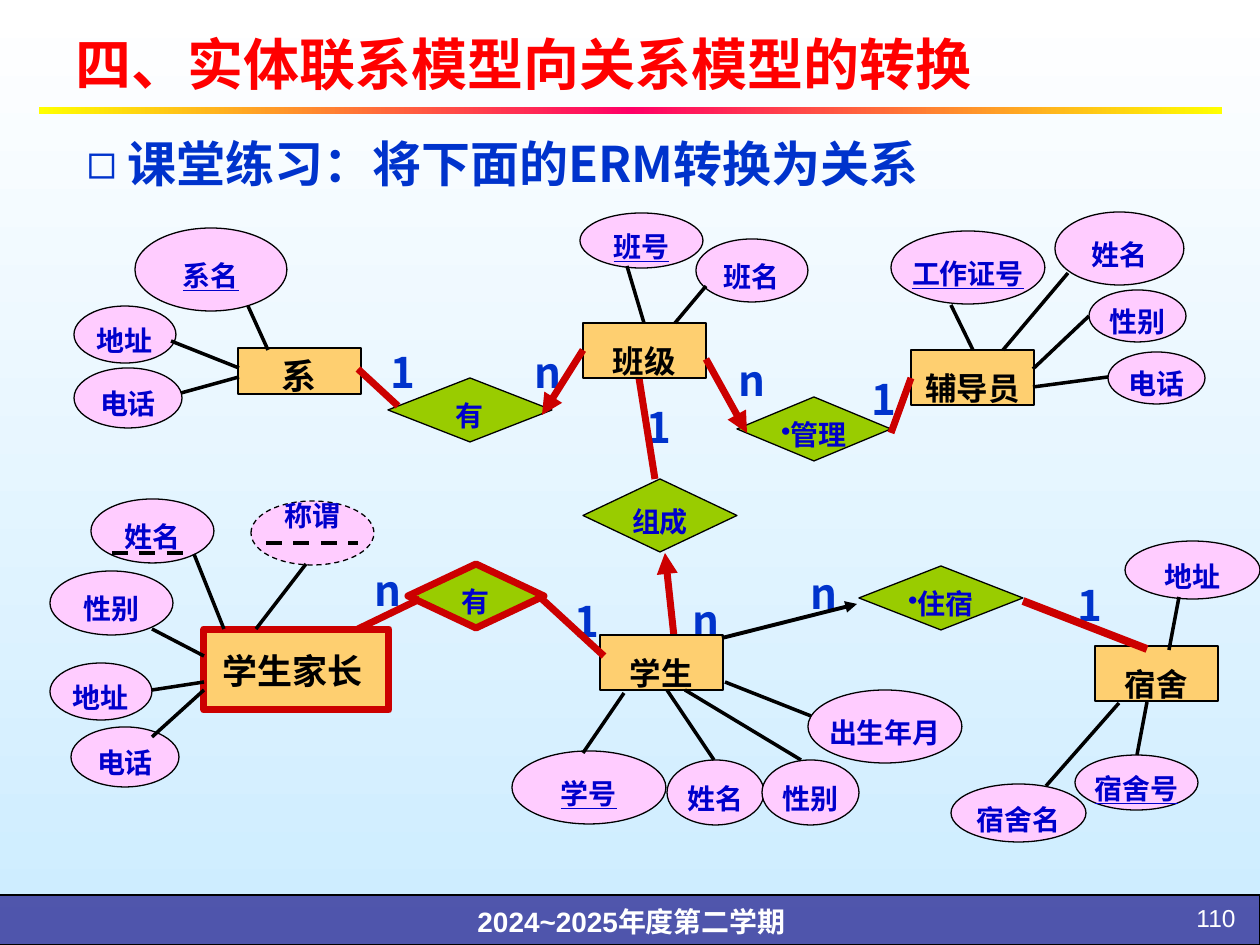
from copy import deepcopy

from lxml import etree
from pptx import Presentation
from pptx.dml.color import RGBColor
from pptx.enum.dml import MSO_LINE
from pptx.enum.shapes import MSO_CONNECTOR, MSO_SHAPE
from pptx.enum.text import MSO_ANCHOR, PP_ALIGN
from pptx.oxml.ns import qn
from pptx.util import Pt

PX = 914400 / 126
RECT, OVAL, DIAMOND = MSO_SHAPE.RECTANGLE, MSO_SHAPE.OVAL, MSO_SHAPE.DIAMOND
STRAIGHT, DASH = MSO_CONNECTOR.STRAIGHT, MSO_LINE.DASH
TOP, MIDDLE = MSO_ANCHOR.TOP, MSO_ANCHOR.MIDDLE
LEFT, CENTER, RIGHT = PP_ALIGN.LEFT, PP_ALIGN.CENTER, PP_ALIGN.RIGHT
CJK = "Noto Sans CJK SC"
COLORS = {
    "white": "FFFFFF", "sky": "CCECFF", "black": "000000", "red": "CC0000",
    "title": "FF0000", "body": "0033CC", "label": "0000CC", "entity": "FECF70",
    "attribute": "FFCCFF", "relation": "99CC00", "footer": "333399",
    "yellow": "FFFF00", "pink": "FF0066",
}

# Each entity: name, box, font size, line spacing, outline (colour, points), and
# attributes (name, offset box, line start, line end, style) relative to the box.
ENTITIES = [
    ("系", (238, 348, 123, 46), 20, 1, ("black", 0.75), [
        ("电话", (-164, 20, 108, 60), (1, 29), (-57, 45), ""),
        ("系名", (-103, -120, 152, 83), (10, -42), (30, 2), "key"),
        ("地址", (-164, -42, 102, 57), (1, 20), (-67, -7), "")]),
    ("辅导员", (911, 350, 123, 55), 18, 1.35, ("black", 0.75), [
        ("性别", (178, -60, 97, 52), (178, -34), (122, 19), ""),
        ("工作证号", (-20, -119, 154, 73), (40, -45), (62, 0), "key"),
        ("姓名", (144, -138, 129, 73), (157, -77), (92, 0), ""),
        ("电话", (197, 2, 97, 52), (197, 27), (122, 37), "")]),
    ("班级", (583, 323, 123, 55), 18, 1.35, ("black", 0.75), [
        ("班名", (113, -84, 112, 63), (92, 0), (123, -37), ""),
        ("班号", (-3, -110, 123, 55), (61, 0), (44, -57), "key")]),
    ("学生", (600, 635, 123, 55), 18, 1.35, ("black", 0.75), [
        ("出生年月", (208, 55, 154, 73), (125, 47), (211, 81), ""),
        ("学号", (-88, 116, 154, 73), (24, 58), (-17, 118), "key"),
        ("姓名", (67, 125, 97, 65), (67, 55), (114, 125), ""),
        ("性别", (162, 125, 97, 65), (85, 55), (201, 125), "")]),
    ("宿舍", (1095, 646, 123, 55), 18, 1.35, ("black", 0.75), [
        ("宿舍号", (-20, 109, 123, 55), (42, 109), (52, 56), "key"),
        ("宿舍名", (-144, 138, 135, 58), (-49, 140), (24, 57), ""),
        ("地址", (30, -105, 135, 58), (74, 4), (84, -49), "")]),
]
PARENT = ("学生家长 ", (204, 629, 185, 81), 20, 1.35, ("red", 4), [
    ("电话", (-133, 98, 108, 60), (0, 61), (-52, 108), ""),
    ("姓名", (-113, -130, 123, 64), (-10, -75), (20, 0), ""),
    ("地址", (-154, 34, 102, 57), (-52, 61), (0, 53), ""),
    ("性别", (-154, -58, 123, 64), (0, 27), (-52, 0), ""),
    ("称谓", (47, -128, 123, 64), (102, -65), (52, 0), "derived")])
PARTIAL_KEYS = [((62, -86), (154, -86)), ((-92, -76), (-20, -76))]

# Each relation: name, box, bullet, outline, cardinalities (text, offset) and
# links (start, end, colour, points, arrow) relative to the box.
COMPOSITION = ("组成", (583, 479, 154, 73), None, ("black", 0.75),
               [("1", (51, -101)), ("n", (97, 92))],
               [((72, 0), (56, -101), "red", 4, False),
                ((92, 167), (82, 74), "red", 4, True)])
RELATIONS = [
    ("有", (388, 378, 164, 64), None, ("black", 0.75),
     [("1", (-10, -55)), ("n", (134, -55))],
     [((-30, -9), (10, 28), "red", 4, False),
      ((195, -28), (154, 37), "red", 4, True)]),
    ("管理", (737, 397, 154, 64), "•", ("black", 0.75),
     [("1", (122, -47)), ("n", (-11, -66))],
     [((174, -19), (154, 36), "red", 4, False),
      ((-31, -38), (10, 36), "red", 4, True)]),
    ("住宿", (859, 566, 164, 64), "•", ("black", 0.75),
     [("n", (-61, -22)), ("1", (206, -10))],
     [((-137, 72), (-2, 38), "black", 2.25, True),
      ((164, 35), (288, 83), "red", 4.5, False)]),
    ("有", (408, 564, 136, 64), None, ("red", 4),
     [("n", (-46, -23)), ("1", (154, 8))],
     [((134, 35), (196, 92), "red", 4, False),
      ((12, 35), (-50, 65), "red", 4, False)]),
]


def rgb(name):
    return RGBColor.from_string(COLORS[name])


def emu(lengths):
    return [round(length * PX) for length in lengths]


def shift(box, offset):
    return (box[0] + offset[0], box[1] + offset[1], *offset[2:])


def write(shape, text, size, color, align=CENTER, anchor=MIDDLE, wrap=True,
          spacing=1.35, bullet=None, font=CJK, bold=True, underline=None):
    frame = shape.text_frame
    frame.word_wrap, frame.vertical_anchor = wrap, anchor
    para = frame.paragraphs[0]
    if bullet:
        properties = para._p.get_or_add_pPr()
        properties.set("marL", "0")
        properties.set("indent", "0")
        etree.SubElement(properties, qn("a:buChar")).set("char", bullet)
    para.alignment, para.line_spacing, para.space_before = align, spacing, Pt(0)
    span = para.add_run()
    span.text = text
    formats = {"size": Pt(size), "name": font, "bold": bold, "underline": underline}
    for key, value in formats.items():
        setattr(span.font, key, value)
    span.font.color.rgb = rgb(color)
    etree.SubElement(span._r.get_or_add_rPr(), qn("a:ea")).set("typeface", CJK)


def add_block(page, kind, box, fill, outline):
    shape = page.shapes.add_shape(kind, *emu(box))
    shape.shadow.inherit = False
    shape.fill.solid()
    shape.fill.fore_color.rgb = rgb(fill)
    shape.line.color.rgb = rgb(outline[0])
    shape.line.width = Pt(outline[1])
    return shape


def add_text(page, box, *content, **formats):
    write(page.shapes.add_textbox(*emu(box)), *content, **formats)


def add_line(page, box, start, end, color="black", width=2, arrow=False, dash=None):
    """Draw a line between two points given relative to the box."""
    points = emu(shift(box, start)) + emu(shift(box, end))
    line = page.shapes.add_connector(STRAIGHT, *points)
    line.line.color.rgb, line.line.width = rgb(color), Pt(width)
    if dash:
        line.line.dash_style = dash
    if arrow:
        etree.SubElement(line.line._get_or_add_ln(), qn("a:tailEnd")).set("type", "triangle")
    etree.SubElement(line._element.spPr, qn("a:effectLst"))


def set_stops(fill, colors):
    for index, (stop, color) in enumerate(zip(fill.gradient_stops, colors)):
        stop.color.rgb = rgb(color)
        stop.position = index / (len(colors) - 1)


def add_header(page, box):
    left, top, width, height = box
    title, body = page.shapes.title, page.placeholders[1]
    places = [(title, (left + 24, top, 1134, 96)), (body, (left + 35, top + 92, 1154, 93))]
    for holder, place in places:
        holder.left, holder.top, holder.width, holder.height = emu(place)
    write(title, "四、实体联系模型向关系模型的转换", 32, "title", LEFT, spacing=1, font="Arial")
    write(body, " 课堂练习：将下面的ERM转换为关系", 28, "body", LEFT, TOP, bullet="◻")
    rule = add_block(page, RECT, (left, top + 92, width, 7), "yellow", ("yellow", 0))
    rule.line.fill.background()
    rule.fill.gradient()
    rule.fill.gradient_angle = 0
    stops = rule._element.spPr.find(".//" + qn("a:gsLst"))
    stops.append(deepcopy(stops[0]))
    set_stops(rule.fill, ["yellow", "pink", "yellow"])


def add_footer(page, box):
    left, top, width, height = box
    band = add_block(page, RECT, box, "footer", ("black", 0.75))
    color = band._element.spPr.find(qn("a:solidFill"))[0]
    etree.SubElement(color, qn("a:alpha")).set("val", "81000")
    add_text(page, (left + 340, top - 3, 585, 53), "2024~2025年度第二学期", 16, "white",
             anchor=TOP, spacing=1.2, font="Arial")
    add_text(page, (left + 1127, top + 2, 122, 38), "110", 14, "white", RIGHT, TOP,
             spacing=1, font="Arial", bold=False)


def add_entity(page, name, box, size, spacing, outline, attributes):
    entity = add_block(page, RECT, box, "entity", outline)
    write(entity, name, size, "black", anchor=TOP, spacing=spacing)
    for text, offset, start, end, style in attributes:
        oval = add_block(page, OVAL, shift(box, offset), "attribute", ("black", 0.75))
        derived = style == "derived"
        write(oval, text, 16, "label", wrap=False, spacing=1 if derived else 1.35,
              underline=True if style == "key" else None)
        if derived:
            oval.line.dash_style = DASH
            oval.text_frame.margin_top, oval.text_frame.margin_bottom = emu((0, 36))
        add_line(page, box, start, end)


def add_relation(page, name, box, bullet, outline, cardinalities, links):
    diamond = add_block(page, DIAMOND, box, "relation", outline)
    write(diamond, name, 16, "label", wrap=False, bullet=bullet)
    for text, offset in cardinalities:
        add_text(page, shift(box, (*offset, 47, 72)), text, 24, "body", LEFT, TOP)
    for link in links:
        add_line(page, box, *link)


def main():
    deck = Presentation()
    deck.slide_width, deck.slide_height = emu((1260, 945))
    page = deck.slides.add_slide(deck.slide_layouts[1])
    backdrop = page.background.fill
    backdrop.gradient()
    backdrop.gradient_angle = 270
    set_stops(backdrop, ["white", "sky"])
    add_footer(page, (-1, 895, 1261, 50))
    add_header(page, (39, 15, 1183, 185))
    add_relation(page, *COMPOSITION)
    for entity in ENTITIES:
        add_entity(page, *entity)
    for relation in RELATIONS:
        add_relation(page, *relation)
    add_entity(page, *PARENT)
    for start, end in PARTIAL_KEYS:
        add_line(page, PARENT[1], start, end, width=2.25, dash=DASH)
    deck.save("out.pptx")


if __name__ == "__main__":
    main()
